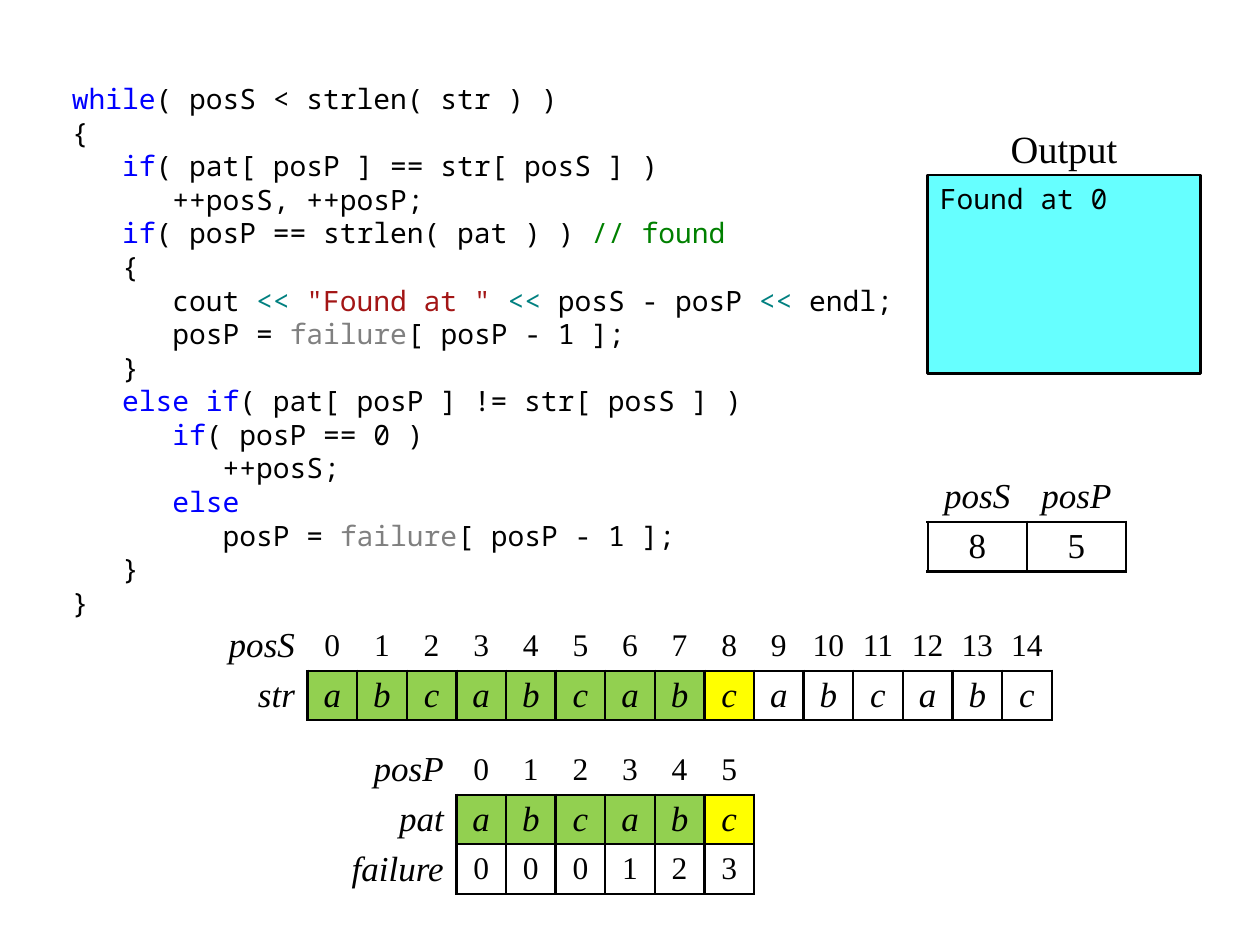
from dataclasses import dataclass
from typing import Optional

from lxml.etree import SubElement as Sub
from pptx import Presentation
from pptx.dml.color import RGBColor
from pptx.enum.shapes import MSO_SHAPE as Shape
from pptx.enum.text import MSO_ANCHOR as Anchor, PP_ALIGN as Align
from pptx.oxml.ns import qn
from pptx.util import Emu, Inches, Pt

BLACK = RGBColor(0x00, 0x00, 0x00)
WHITE = RGBColor(0xFF, 0xFF, 0xFF)
BLUE = RGBColor(0x00, 0x00, 0xFF)
GREEN = RGBColor(0x00, 0x80, 0x00)
TEAL = RGBColor(0x00, 0x80, 0x80)
RED = RGBColor(0xA3, 0x15, 0x15)
GRAY = RGBColor(0x80, 0x80, 0x80)
LIME = RGBColor(0x92, 0xD0, 0x50)
YELLOW = RGBColor(0xFF, 0xFF, 0x00)
CYAN = RGBColor(0x66, 0xFF, 0xFF)

MONO, SERIF = "Noto Sans Mono", "Times New Roman"
WIDE, HIGH = Inches(10), Inches(7.5)
UNIT = WIDE / 25.4  # side of one grid square
EDGE = Pt(1.5)
PLAIN_STYLE = "{2D5ABB26-0587-4C30-8999-92F81FD0307C}"

CODE_FONT = dict(name=MONO, size=Pt(16))
NAME_FONT = dict(name=SERIF, size=Pt(20), italic=True)
NUM_FONT = dict(name=SERIF, size=Pt(18), italic=False)
VALUE_FONT = dict(name=SERIF, size=Pt(20), italic=False)
HEAD_FONT = dict(name=SERIF, size=Pt(22))

# Between bars, the first letter picks the colour of the rest
INKS = dict(k=BLUE, c=GREEN, o=TEAL, s=RED, g=GRAY)
CODE = """\
|kwhile|( posS < strlen( str ) )
{
   |kif|( pat[ posP ] == str[ posS ] )
      ++posS, ++posP;
   |kif|( posP == strlen( pat ) ) |c// found|
   {
      cout |o<< ||s"Found at " ||o<< |posS - posP |o<< |endl;
      posP = |gfailure|[ posP - 1 ];
   }
   |kelse if|( pat[ posP ] != str[ posS ] )
      |kif|( posP == 0 )
         ++posS;
      |kelse|
         posP = |gfailure|[ posP - 1 ];
   }
}"""


@dataclass
class Area:
    """A box in grid squares."""
    col: float
    row: float
    cols: float
    rows: float

    def place(self) -> list[Emu]:
        return [Emu(round(n * UNIT))
                for n in (self.col, self.row, self.cols, self.rows)]


@dataclass
class Row:
    texts: list[str]
    font: dict
    label: Optional[str] = None
    boxed: bool = False
    done: int = 0  # matched cells; the one after them is current


def style(item, form: dict) -> None:
    for key, value in form.items():
        setattr(item, key, value)


def write(para, text: str, font: dict, ink: RGBColor = BLACK) -> None:
    run = para.add_run()
    run.text = text
    style(run.font, font)
    run.font.color.rgb = ink


def add_text(slide, area: Area, form: dict):
    frame = slide.shapes.add_textbox(*area.place()).text_frame
    style(frame, dict(word_wrap=True, **form))
    return frame


def add_code(slide, area: Area) -> None:
    frame = add_text(slide, area, dict(margin_right=Inches(0.04)))
    for i, line in enumerate(CODE.split("\n")):
        para = frame.add_paragraph() if i else frame.paragraphs[0]
        para.line_spacing = Pt(19.2)
        for j, part in enumerate(line.split("|")):
            if part and j % 2:
                write(para, part[1:], CODE_FONT, INKS[part[0]])
            elif part:
                write(para, part, CODE_FONT)


def draw_edges(cell, sides: str) -> None:
    props = cell._tc.get_or_add_tcPr()
    for side in "LRTB":
        line = Sub(props, qn(f"a:ln{side}"), w=str(EDGE))
        if side in sides:
            fill = Sub(line, qn("a:solidFill"))
            Sub(fill, qn("a:srgbClr"), val=str(BLACK))
        else:
            Sub(line, qn("a:noFill"))


def fill_cell(cell, text: str, font: dict, align, pad: float,
              sides: str, fill: Optional[RGBColor]) -> None:
    style(cell, dict(margin_left=Inches(pad), margin_right=Inches(pad),
                     margin_top=0, margin_bottom=0,
                     vertical_anchor=Anchor.MIDDLE))
    draw_edges(cell, sides)
    if fill is None:
        cell.fill.background()
    else:
        cell.fill.solid()
        cell.fill.fore_color.rgb = fill
    para = cell.text_frame.paragraphs[0]
    para.alignment = align
    write(para, text, font)


def add_grid(slide, col: float, row: float, rows: list[Row],
             step: float = 1, lead: float = 0) -> None:
    """Draw rows of cells, with a label column when lead is set."""
    first = 1 if lead else 0
    count = len(rows[0].texts)
    area = Area(col, row, lead + count * step, len(rows))
    frame = slide.shapes.add_table(len(rows), first + count, *area.place())
    frame._element.xpath(".//a:tableStyleId")[0].text = PLAIN_STYLE
    table = frame.table
    style(table, dict(first_row=False, horz_banding=False))
    for i, part in enumerate(table.columns):
        part.width = Emu(round((lead if i < first else step) * UNIT))
    for r, item in enumerate(rows):
        table.rows[r].height = Emu(round(UNIT))
        if lead:
            fill_cell(table.cell(r, 0), item.label, NAME_FONT, Align.RIGHT,
                      0.1, "R" if item.boxed else "", None)
        for c, text in enumerate(item.texts):
            fill = WHITE if item.boxed else None
            if item.done:
                fill = (LIME if c < item.done else
                        YELLOW if c == item.done else WHITE)
            fill_cell(table.cell(r, c + first), text, item.font, Align.CENTER,
                      0.04, "LRTB" if item.boxed else "B", fill)


def add_output(slide, area: Area) -> None:
    # Heading above the screen
    head = add_text(slide, Area(area.col + 1, area.row - 1, area.cols - 2, 1),
                    dict(margin_top=0))
    head.paragraphs[0].alignment = Align.CENTER
    write(head.paragraphs[0], "Output", HEAD_FONT)
    # Screen
    box = slide.shapes.add_shape(Shape.RECTANGLE, *area.place())
    box.shadow.inherit = False
    box.fill.solid()
    box.fill.fore_color.rgb = CYAN
    box.line.color.rgb = BLACK
    box.line.width = EDGE
    style(box.text_frame, dict(word_wrap=True, vertical_anchor=Anchor.TOP))
    para = box.text_frame.paragraphs[0]
    style(para, dict(alignment=Align.LEFT, line_spacing=Pt(19.2)))
    write(para, "Found at 0", CODE_FONT)


def count_up(size: int) -> list[str]:
    return [str(n) for n in range(size)]


def main() -> None:
    deck = Presentation()
    style(deck, dict(slide_width=WIDE, slide_height=HIGH))
    slide = deck.slides.add_slide(deck.slide_layouts[6])

    add_code(slide, Area(1.2, 1.52, 17, 11))
    # Searched string
    add_grid(slide, 4.2, 12.52, [
        Row(count_up(15), NUM_FONT, "posS"),
        Row(list("abc" * 5), NAME_FONT, "str", True, 8)], lead=2)
    # Current positions
    add_grid(slide, 18.7, 9.52, [
        Row(["posS", "posP"], NAME_FONT),
        Row(["8", "5"], VALUE_FONT, boxed=True)], step=2)
    # Pattern and its failure function
    add_grid(slide, 6.7, 15.02, [
        Row(count_up(6), NUM_FONT, "posP"),
        Row(list("abc" * 2), NAME_FONT, "pat", True, 5),
        Row(list("000123"), NUM_FONT, "failure", True)], lead=2.5)
    add_output(slide, Area(18.7, 3.53, 5.5, 4))

    deck.save("out.pptx")


if __name__ == "__main__":
    main()
